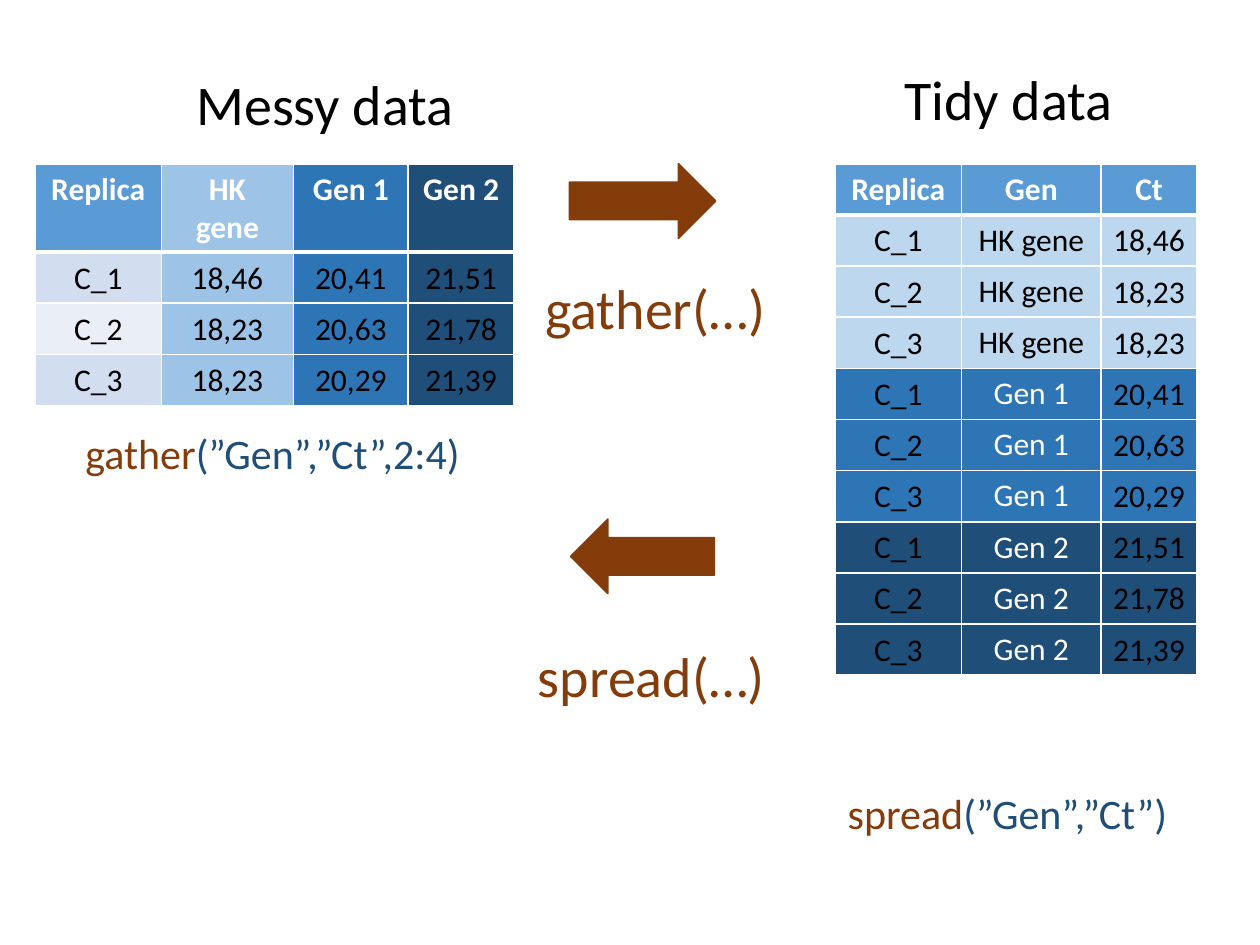
from dataclasses import dataclass

from lxml import etree
from pptx import Presentation
from pptx.dml.color import RGBColor
from pptx.enum.shapes import MSO_SHAPE
from pptx.enum.text import MSO_ANCHOR, MSO_AUTO_SIZE, PP_ALIGN
from pptx.oxml.ns import qn
from pptx.util import Inches, Pt

RIGHT_ARROW, LEFT_ARROW = MSO_SHAPE.RIGHT_ARROW, MSO_SHAPE.LEFT_ARROW
MIDDLE = MSO_ANCHOR.MIDDLE
CENTER = PP_ALIGN.CENTER
FIT_SHAPE = MSO_AUTO_SIZE.SHAPE_TO_FIT_TEXT


@dataclass(frozen=True)
class Theme:
    font: str = "Calibri"
    black: str = "000000"
    white: str = "FFFFFF"
    brown: str = "843C0B"
    header: str = "5B9BD5"
    pale: str = "BDD7EE"
    light: str = "9DC3E6"
    medium: str = "2E75B6"
    dark: str = "1F4E79"
    bands: tuple = ("D2DEEF", "EAEFF7")
    title_size: int = 32
    code_size: int = 24
    table_size: int = 18


THEME = Theme()
ROW_HEIGHT = Inches(4.06) // 10

REPLICAS = ["C_1", "C_2", "C_3"]
MEASUREMENTS = {
    "HK gene": ["18,46", "18,23", "18,23"],
    "Gen 1": ["20,41", "20,63", "20,29"],
    "Gen 2": ["21,51", "21,78", "21,39"],
}


def style_font(font, size, color, bold=False):
    font.name = THEME.font
    font.size = Pt(size)
    font.bold = bold
    font.color.rgb = RGBColor.from_string(color)


def add_text(slide, box, size, *parts):
    """Add one line of text made of (text, color) parts."""
    shape = slide.shapes.add_textbox(*map(Inches, box))
    shape.text_frame.word_wrap = False
    shape.text_frame.auto_size = FIT_SHAPE
    paragraph = shape.text_frame.paragraphs[0]
    for text, color in parts:
        run = paragraph.add_run()
        run.text = text
        style_font(run.font, size, color)


def add_arrow(slide, kind, box):
    shape = slide.shapes.add_shape(kind, *map(Inches, box))
    shape.shadow.inherit = False
    shape.fill.solid()
    shape.fill.fore_color.rgb = RGBColor.from_string(THEME.brown)
    shape.line.color.rgb = RGBColor.from_string(THEME.brown)
    shape.line.width = Pt(1)


def set_borders(cell, bottom, top):
    properties = cell._tc.get_or_add_tcPr()
    for side, width in (("L", 1), ("R", 1), ("T", top), ("B", bottom)):
        line = etree.SubElement(properties, qn(f"a:ln{side}"), w=str(Pt(width)))
        fill = etree.SubElement(line, qn("a:solidFill"))
        etree.SubElement(fill, qn("a:srgbClr"), val=THEME.white)


def fill_cell(cell, text, fill, color, bold=False, tight=False):
    if tight:
        cell.vertical_anchor = MIDDLE
        cell.margin_left = cell.margin_right = cell.margin_top = Inches(0.01)
        cell.margin_bottom = 0
    cell.text = text
    paragraph = cell.text_frame.paragraphs[0]
    paragraph.alignment = CENTER
    style_font(paragraph.font, THEME.table_size, color, bold)
    cell.fill.solid()
    cell.fill.fore_color.rgb = RGBColor.from_string(fill)


def add_data_table(slide, left, top, widths, header, rows):
    """Header holds (text, fill); rows hold (text, fill, is_label)."""
    frame = slide.shapes.add_table(
        len(rows) + 1, len(widths), Inches(left), Inches(top),
        Inches(sum(widths)), ROW_HEIGHT * (len(rows) + 1))
    table = frame.table
    for column, width in zip(table.columns, widths):
        column.width = Inches(width)
    for row in table.rows:
        row.height = ROW_HEIGHT
    for column, (text, fill) in enumerate(header):
        cell = table.cell(0, column)
        set_borders(cell, bottom=3, top=1)
        fill_cell(cell, text, fill, THEME.white, bold=True)
    for number, row in enumerate(rows, 1):
        for column, (text, fill, is_label) in enumerate(row):
            cell = table.cell(number, column)
            set_borders(cell, bottom=1, top=3 if number == 1 else 1)
            light_text = is_label and fill != THEME.pale
            color = THEME.white if light_text else THEME.black
            fill_cell(cell, text, fill, color, tight=not is_label)


def add_messy_side(slide, left, top):
    """Wide table: one column for each gene."""
    fills = [THEME.light, THEME.medium, THEME.dark]
    header = [("Replica", THEME.header), *zip(MEASUREMENTS, fills)]
    rows = []
    for index, replica in enumerate(REPLICAS):
        values = [(column[index], fill, False)
                  for column, fill in zip(MEASUREMENTS.values(), fills)]
        rows.append([(replica, THEME.bands[index % 2], False), *values])
    add_text(slide, (left + 1.18, top - 0.8, 2.27, 0.64), THEME.title_size,
             ("Messy data", THEME.black))
    add_data_table(slide, left, top, [1, 1.05, 0.91, 0.84], header, rows)
    add_text(slide, (left + 0.3, top + 2.04, 3.2, 0.5), THEME.code_size,
             ("gather", THEME.brown), ("(”Gen”,”Ct”,2:4)", THEME.dark))


def add_tidy_side(slide, left, top):
    """Long table: one row for each replica and gene."""
    header = [(name, THEME.header) for name in ("Replica", "Gen", "Ct")]
    fills = [THEME.pale, THEME.medium, THEME.dark]
    rows = [
        [(replica, fill, False), (gene, fill, True), (value, fill, False)]
        for (gene, values), fill in zip(MEASUREMENTS.items(), fills)
        for replica, value in zip(REPLICAS, values)
    ]
    add_text(slide, (left + 0.45, top - 0.84, 1.88, 0.64), THEME.title_size,
             ("Tidy data", THEME.black))
    add_data_table(slide, left, top, [1, 1.11, 0.76], header, rows)
    add_text(slide, (left, top + 4.9, 2.76, 0.5), THEME.code_size,
             ("spread", THEME.brown), ("(”Gen”,”Ct”)", THEME.dark))


def add_operations(slide, left, top):
    """Arrows between the tables, each with its function name."""
    add_arrow(slide, RIGHT_ARROW, (left, top, 1.16, 0.59))
    add_text(slide, (left - 0.29, top + 0.82, 1.97, 0.64), THEME.title_size,
             ("gather(…)", THEME.brown))
    add_arrow(slide, LEFT_ARROW, (left + 0.01, top + 2.82, 1.14, 0.59))
    add_text(slide, (left - 0.35, top + 3.74, 2.02, 0.64), THEME.title_size,
             ("spread(…)", THEME.brown))


def main():
    presentation = Presentation()
    presentation.slide_width = Inches(10)
    presentation.slide_height = Inches(7.5)
    slide = presentation.slides.add_slide(presentation.slide_layouts[6])
    add_messy_side(slide, 0.28, 1.3)
    add_operations(slide, 4.52, 1.3)
    add_tidy_side(slide, 6.63, 1.3)
    presentation.save("out.pptx")


if __name__ == "__main__":
    main()
